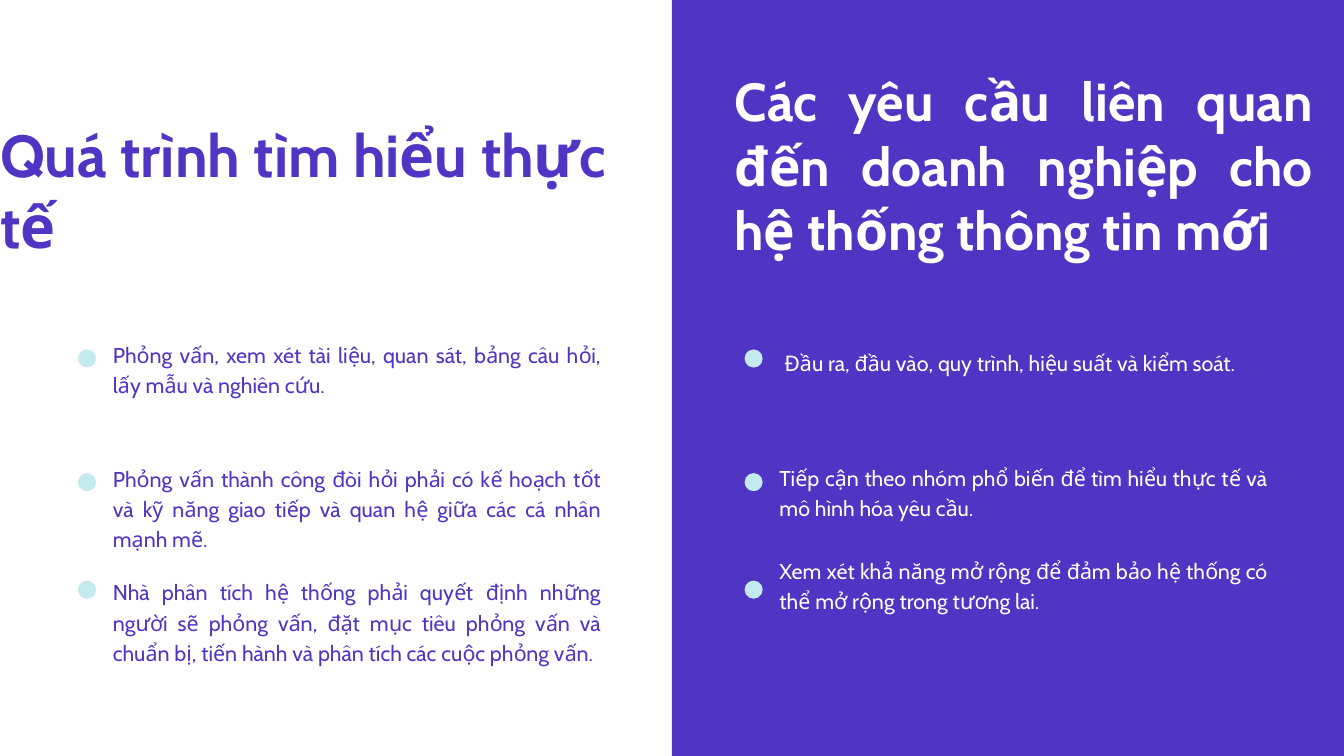
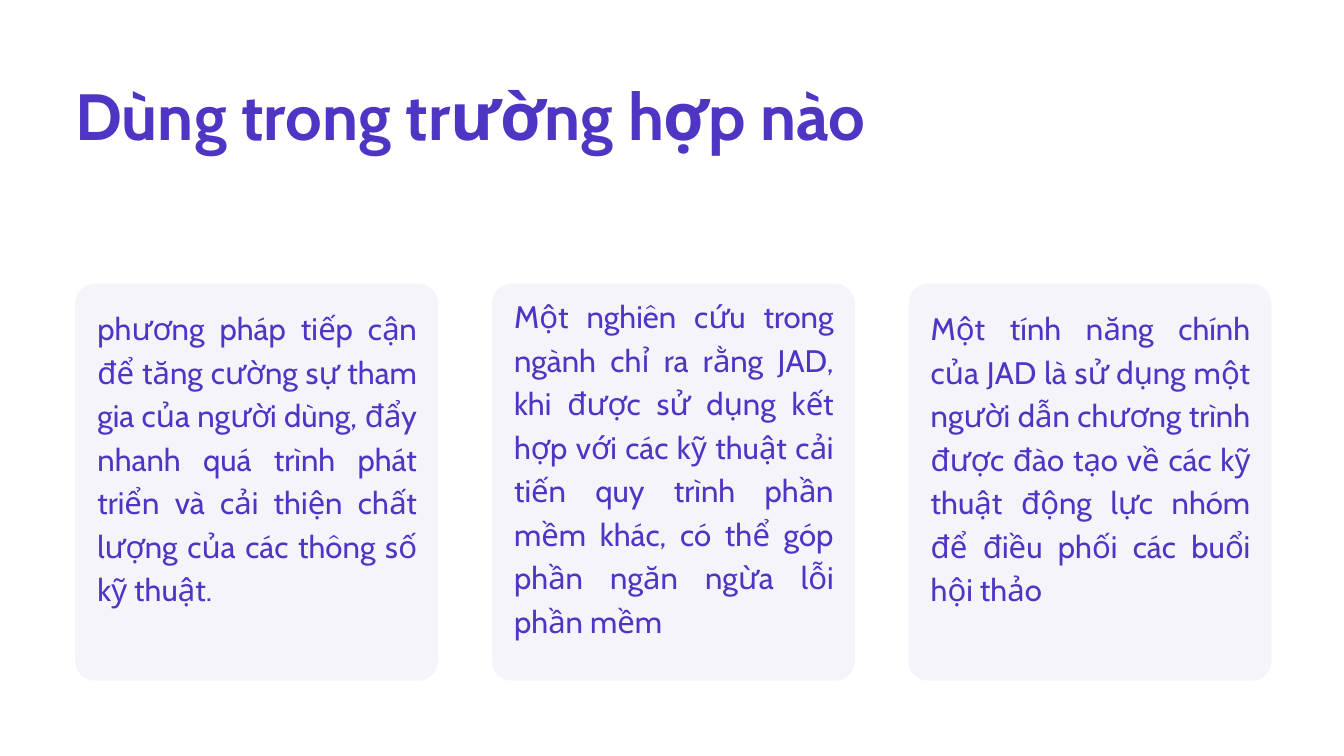
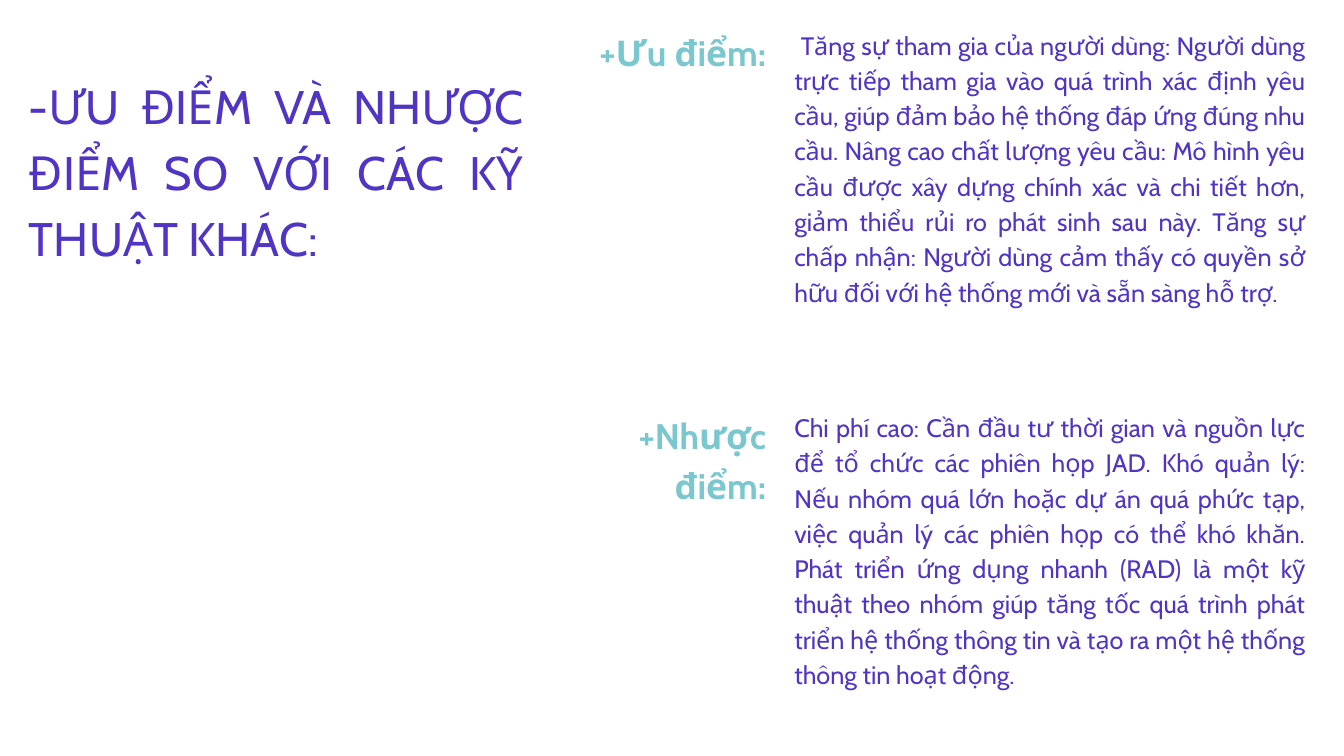
from lxml import etree
from pptx import Presentation
from pptx import util as u
from pptx.dml.color import RGBColor
from pptx.enum import shapes, text
from pptx.oxml.ns import qn

# Shared grid: one unit is a twentieth of the slide's width
WIDTH, HEIGHT = u.Inches(20), u.Inches(11.25)
COLUMNS, ROWS = 20, 11.25
UNIT = WIDTH / COLUMNS

# Shared look
FONT = "Cabin"
PURPLE = RGBColor(0x50, 0x34, 0xC4)
PALE_AQUA = RGBColor(0xC3, 0xEB, 0xEF)
AQUA = RGBColor(0x7A, 0xC7, 0xCF)
WHITE = RGBColor(0xFF, 0xFF, 0xFF)
LEFT, JUSTIFY, RIGHT = text.PP_ALIGN.LEFT, text.PP_ALIGN.JUSTIFY, text.PP_ALIGN.RIGHT

# Slide 1: bullet rows and, for each side, (text row, text height, words)
DOT_ROWS = (5.2, 7.04, 8.64)
DOT_SIZE = 0.27
FACT_FINDING = [
    (5.03, 1.3, "Phỏng vấn, xem xét tài liệu, quan sát, bảng câu hỏi, lấy mẫu và nghiên cứu."),
    (6.87, 1.74, "Phỏng vấn thành công đòi hỏi phải có kế hoạch tốt và kỹ năng giao tiếp "
                 "và quan hệ giữa các cá nhân mạnh mẽ."),
    (8.56, 1.74, "Nhà phân tích hệ thống phải quyết định những người sẽ phỏng vấn, đặt mục tiêu "
                 "phỏng vấn và chuẩn bị, tiến hành và phân tích các cuộc phỏng vấn."),
]
REQUIREMENTS = [
    (5.14, 0.86, " Đầu ra, đầu vào, quy trình, hiệu suất và kiểm soát."),
    (6.85, 0.86, "Tiếp cận theo nhóm phổ biến để tìm hiểu thực tế và mô hình hóa yêu cầu."),
    (8.24, 1.3, "Xem xét khả năng mở rộng để đảm bảo hệ thống có thể mở rộng trong tương lai."),
]

# Slide 2: (text row, text height, words) of each card
USE_CASES = [
    (4.52, 5.14, "phương pháp tiếp cận để tăng cường sự tham gia của người dùng, đẩy nhanh "
                 "quá trình phát triển và cải thiện chất lượng của các thông số kỹ thuật."),
    (4.34, 5.78, "Một nghiên cứu trong ngành chỉ ra rằng JAD, khi được sử dụng kết hợp với các "
                 "kỹ thuật cải tiến quy trình phần mềm khác, có thể góp phần ngăn ngừa lỗi phần mềm"),
    (4.52, 5.14, "Một tính năng chính của JAD là sử dụng một người dẫn chương trình được đào tạo "
                 "về các kỹ thuật động lực nhóm để điều phối các buổi hội thảo "),
]

# Slide 3: table rows
PROS_AND_CONS = [
    ("+Ưu điểm:",
     " Tăng sự tham gia của người dùng: Người dùng trực tiếp tham gia vào quá trình xác định "
     "yêu cầu, giúp đảm bảo hệ thống đáp ứng đúng nhu cầu. Nâng cao chất lượng yêu cầu: Mô hình "
     "yêu cầu được xây dựng chính xác và chi tiết hơn, giảm thiểu rủi ro phát sinh sau này. "
     "Tăng sự chấp nhận: Người dùng cảm thấy có quyền sở hữu đối với hệ thống mới và sẵn sàng hỗ trợ."),
    ("+Nhược điểm:",
     "Chi phí cao: Cần đầu tư thời gian và nguồn lực để tổ chức các phiên họp JAD. Khó quản lý: "
     "Nếu nhóm quá lớn hoặc dự án quá phức tạp, việc quản lý các phiên họp có thể khó khăn. "
     "Phát triển ứng dụng nhanh (RAD) là một kỹ thuật theo nhóm giúp tăng tốc quá trình phát triển "
     "hệ thống thông tin và tạo ra một hệ thống thông tin hoạt động."),
]


def units(*lengths):
    return [u.Emu(round(length * UNIT)) for length in lengths]


def write(frame, words, size, leading, color=PURPLE, bold=False, align=JUSTIFY):
    paragraph = frame.paragraphs[0]
    paragraph.alignment = align
    paragraph.line_spacing = u.Pt(leading)
    paragraph.space_before = paragraph.space_after = u.Pt(0)
    run = paragraph.add_run()
    run.text = words
    run.font.name, run.font.size = FONT, u.Pt(size)
    run.font.bold, run.font.color.rgb = bold, color


def fit_frame(frame):
    frame.word_wrap = True
    frame.auto_size = text.MSO_AUTO_SIZE.NONE
    frame.vertical_anchor = text.MSO_ANCHOR.TOP
    frame.margin_left = frame.margin_top = frame.margin_right = frame.margin_bottom = 0


def add_words(slide, box, words, size, leading, **style):
    frame = slide.shapes.add_textbox(*units(*box)).text_frame
    fit_frame(frame)
    write(frame, words, size, leading, **style)


def add_titled_slide(deck, box, words, size, leading, **style):
    slide = deck.slides.add_slide(deck.slide_layouts[5])
    title = slide.shapes.title
    title.left, title.top, title.width, title.height = units(*box)
    fit_frame(title.text_frame)
    write(title.text_frame, words, size, leading, **style)
    return slide


def add_filled(slide, kind, box, color, opacity=None):
    shape = slide.shapes.add_shape(kind, *units(*box))
    shape.shadow.inherit = False
    shape.fill.solid()
    shape.fill.fore_color.rgb = color
    shape.line.fill.background()
    if opacity is not None:
        tint = shape.fill._xPr.find(".//" + qn("a:srgbClr"))
        etree.SubElement(tint, qn("a:alpha"), val=str(opacity * 1000))
    return shape


def add_bullets(slide, dot_left, text_left, items, color):
    for dot_row, (row, height, words) in zip(DOT_ROWS, items):
        add_filled(slide, shapes.MSO_SHAPE.OVAL, (dot_left, dot_row, DOT_SIZE, DOT_SIZE), PALE_AQUA)
        add_words(slide, (text_left, row, 7.27, height), words, 23, 32.2, color=color)


def clear_borders(cell):
    properties = cell._tc.get_or_add_tcPr()
    for index, side in enumerate(("lnL", "lnR", "lnT", "lnB")):
        border = etree.Element(qn("a:" + side), w="0")
        etree.SubElement(border, qn("a:noFill"))
        properties.insert(index, border)


def add_comparison(slide, box, column_widths, row_heights, rows):
    table = slide.shapes.add_table(len(rows), len(column_widths), *units(*box)).table
    table.first_row = table.horz_banding = False
    for column, width in zip(table.columns, units(*column_widths)):
        column.width = width
    for row, height in zip(table.rows, units(*row_heights)):
        row.height = height
    for row, (label, details) in zip(table.rows, rows):
        label_cell, details_cell = row.cells
        for cell in (label_cell, details_cell):
            cell.fill.background()
            clear_borders(cell)
            cell.margin_left = cell.margin_top = cell.margin_right = cell.margin_bottom = units(0.21)[0]
        write(label_cell.text_frame, label, 38, 53.2, color=AQUA, bold=True, align=RIGHT)
        write(details_cell.text_frame, details, 27, 37.8)


def build_requirements(deck):
    slide = add_titled_slide(deck, (0, 1.76, 9.85, 2.09), "Quá trình tìm hiểu thực tế",
                             63.5, 76.2, bold=True, align=LEFT)
    half = COLUMNS / 2
    add_filled(slide, shapes.MSO_SHAPE.RECTANGLE, (half, 0, half, ROWS), PURPLE)
    add_words(slide, (10.93, 1.02, 8.61, 2.83),
              "Các yêu cầu liên quan đến doanh nghiệp cho hệ thống thông tin mới",
              57.2, 68.7, color=WHITE, bold=True)
    add_bullets(slide, 1.16, 1.68, FACT_FINDING, PURPLE)
    add_bullets(slide, 11.08, 11.6, REQUIREMENTS, WHITE)


def build_use_cases(deck):
    slide = add_titled_slide(deck, (1.12, 1.12, 14.93, 2.31), "Dùng trong trường hợp nào",
                             70, 84, bold=True, align=LEFT)
    first_left, pitch, card_width, card_height, corner = 1.12, 6.2, 5.4, 5.91, 0.29
    for index, (row, height, words) in enumerate(USE_CASES):
        left = first_left + index * pitch
        card = add_filled(slide, shapes.MSO_SHAPE.ROUNDED_RECTANGLE,
                          (left, 4.22, card_width, card_height), PURPLE, opacity=5)
        card.adjustments[0] = corner / card_width
        add_words(slide, (left + 0.33, row, 4.76, height), words, 33.3, 46.6)


def build_pros_and_cons(deck):
    slide = add_titled_slide(deck, (0.43, 1.02, 7.36, 3.88),
                             "-ƯU ĐIỂM VÀ NHƯỢC ĐIỂM SO VỚI CÁC KỸ THUẬT KHÁC: ", 50.4, 70.5)
    add_comparison(slide, (8.01, 0.18, 11.62, 10.9), (3.6, 8.02), (5.69, 5.21), PROS_AND_CONS)


def main():
    deck = Presentation()
    deck.slide_width, deck.slide_height = WIDTH, HEIGHT
    build_requirements(deck)
    build_use_cases(deck)
    build_pros_and_cons(deck)
    deck.save("out.pptx")


if __name__ == "__main__":
    main()
